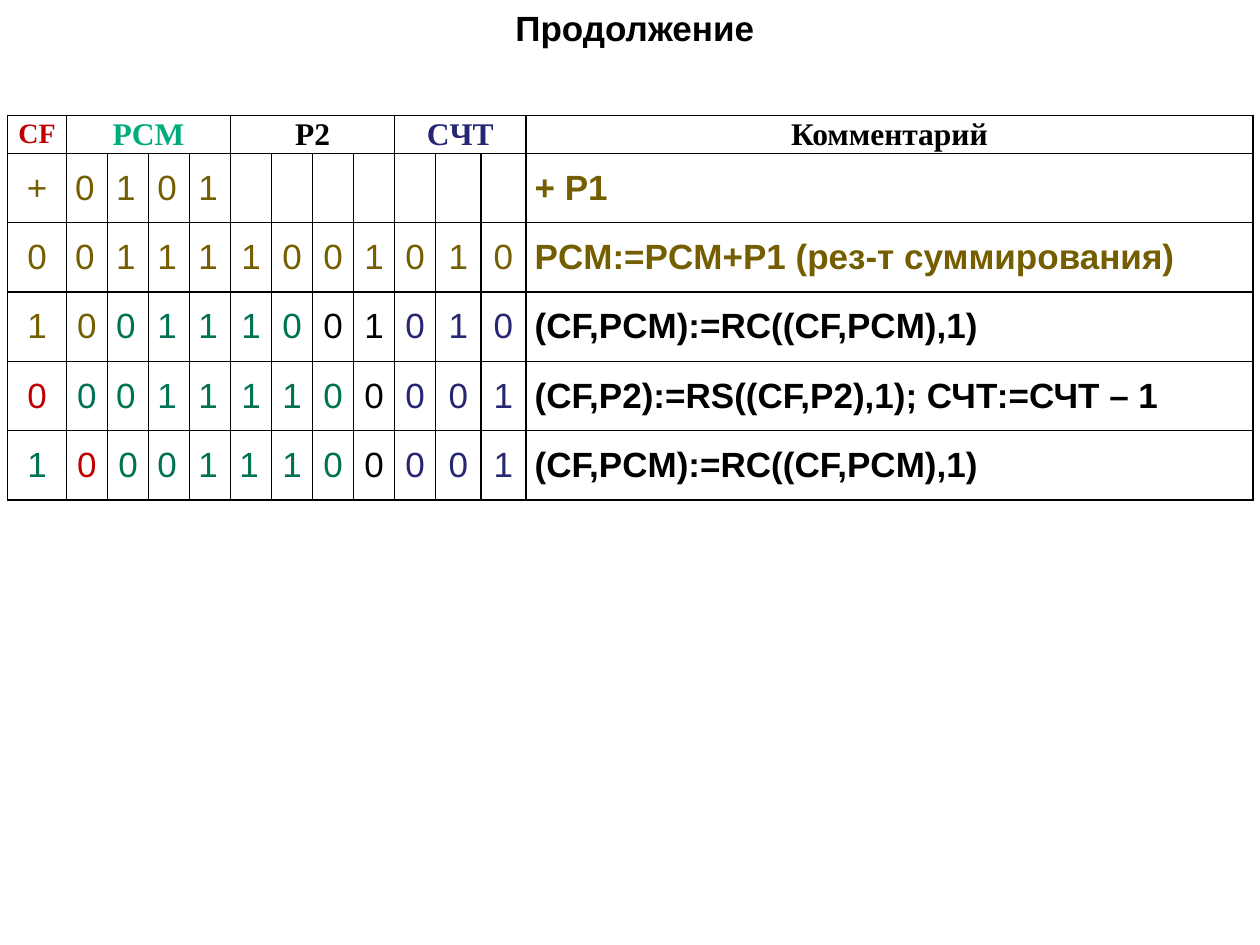
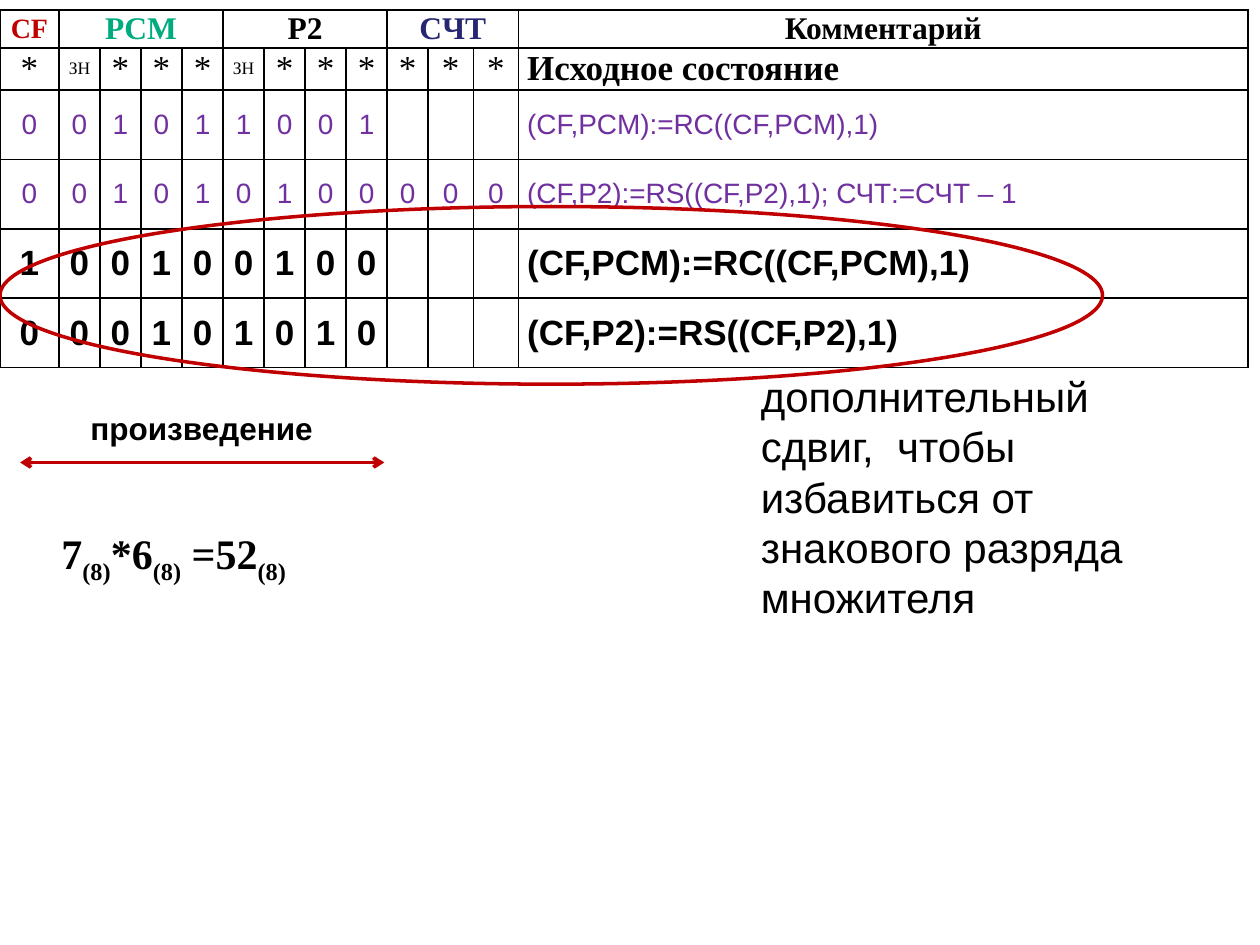
"""Build two slides that trace a binary multiplication register by register."""
import pptx
import pptx.util
import pptx.dml.color
import pptx.enum.text
import pptx.enum.shapes
import pptx.oxml
import pptx.oxml.ns
from lxml import etree

Pt = pptx.util.Pt
RGBColor = pptx.dml.color.RGBColor
ALIGN = pptx.enum.text.PP_ALIGN
MIDDLE = pptx.enum.text.MSO_ANCHOR.MIDDLE
GROW = pptx.enum.text.MSO_AUTO_SIZE.SHAPE_TO_FIT_TEXT
qn = pptx.oxml.ns.qn

BLACK = RGBColor(0x00, 0x00, 0x00)
RED = RGBColor(0xC0, 0x00, 0x00)
MINT = RGBColor(0x00, 0xAB, 0x7E)
GREEN = RGBColor(0x00, 0x72, 0x54)
NAVY = RGBColor(0x26, 0x26, 0x73)
OLIVE = RGBColor(0x74, 0x5E, 0x00)
PURPLE = RGBColor(0x70, 0x30, 0xA0)
HUES = {"k": BLACK, "r": RED, "g": GREEN, "n": NAVY, "o": OLIVE, "p": PURPLE}

SERIF = "Times New Roman"
SANS = "Arial"
PLAIN_20 = {"name": SANS, "size": Pt(20), "bold": False}
BOLD_20 = {"name": SANS, "size": Pt(20), "bold": True}
PLAIN_16 = {"name": SANS, "size": Pt(16), "bold": False}
STAR = {"name": SERIF, "size": Pt(20), "bold": False}
STATE = {"name": SERIF, "size": Pt(20), "bold": True}
HEADING = {"name": SERIF, "size": Pt(18), "bold": True}
FORMULA = {"name": SERIF, "size": Pt(24), "bold": True}
NOTE = {"name": SANS, "size": Pt(24), "bold": False}

HEADINGS = [
    (0, 0, "CF", RED, {**HEADING, "size": Pt(16)}),
    (1, 4, "PCM", MINT, HEADING),
    (5, 8, "P2", BLACK, HEADING),
    (9, 11, "CЧТ", NAVY, HEADING),
    (12, 12, "Комментарий", BLACK, HEADING),
]
ROTATE = "(CF,PCM):=RС((CF,PCM),1)"
SHIFT = "(CF,P2):=RS((CF,P2),1)"
COUNT = "; СЧТ:=СЧТ – 1"

ADDITION_STEPS = [
    ("+ 0 1 0 1", "o" * 13, (1, 2, 3, 4), "+ P1", PLAIN_20, BOLD_20),
    ("0 0 1 1 1 1 0 0 1 0 1 0", "o" * 13, (1, 2, 3, 4),
     "PCM:=PCM+P1 (рез-т суммирования)", PLAIN_20, BOLD_20),
    ("1 0 0 1 1 1 0 0 1 0 1 0", "oogggggkknnnk", (2, 3, 4), ROTATE, PLAIN_20, BOLD_20),
    ("0 0 0 1 1 1 1 0 0 0 0 1", "rgggggggknnnk", (2, 3, 4), SHIFT + COUNT, PLAIN_20, BOLD_20),
    ("1 0 0 0 1 1 1 0 0 0 0 1", "grggggggknnnk", (3, 4, 5), ROTATE, PLAIN_20, BOLD_20),
]
FINAL_STEPS = [
    ("* ЗН * * * ЗН * * * * * *", "k" * 13, (), "Исходное состояние", STAR, STATE),
    ("0 0 1 0 1 1 0 0 1", "p" * 13, (), ROTATE, PLAIN_16, PLAIN_16),
    ("0 0 1 0 1 0 1 0 0 0 0 0", "p" * 13, (), SHIFT + COUNT, PLAIN_16, PLAIN_16),
    ("1 0 0 1 0 0 1 0 0", "k" * 13, (), ROTATE, BOLD_20, BOLD_20),
    ("0 0 0 1 0 1 0 1 0", "k" * 13, (), SHIFT, BOLD_20, BOLD_20),
]


def write(paragraph, text, style, color, align=ALIGN.LEFT):
    run = paragraph.add_run()
    run.text = text
    for attribute, value in style.items():
        setattr(run.font, attribute, value)
    run.font.color.rgb = color
    paragraph.alignment = align
    return run


def add_box(slide, left, top, width, height, wrap=True):
    frame = slide.shapes.add_textbox(Pt(left), Pt(top), Pt(width), Pt(height)).text_frame
    frame.word_wrap = wrap
    frame.auto_size = GROW
    return frame.paragraphs[0]


deck = pptx.Presentation()
deck.slide_width, deck.slide_height = Pt(720), Pt(540)
addition, final = [deck.slides.add_slide(deck.slide_layouts[6]) for _ in range(2)]

title = add_box(addition, 0, 0, 720, 31.5)
write(title, " Продолжение", BOLD_20, BLACK, ALIGN.CENTER)

register_widths = [33.7] + [23.45] * 9 + [25.8] * 2
for slide, steps, left, top, comment_width, heights in [
    (addition, ADDITION_STEPS, 4.3, 66, 415.4, [21.2] + [39.65] * 5),
    (final, FINAL_STEPS, 0, 5.8, 417, [19.8, 22] + [39.65] * 4),
]:
    widths = register_widths + [comment_width]
    trace = slide.shapes.add_table(
        len(heights), len(widths), Pt(left), Pt(top), Pt(sum(widths)), Pt(sum(heights))).table
    trace.first_row = trace.horz_banding = False
    for column, width in zip(trace.columns, widths):
        column.width = Pt(width)
    for row, height in zip(trace.rows, heights):
        row.height = Pt(height)

    for cell in trace.iter_cells():
        cell.vertical_anchor = MIDDLE
        cell.margin_left = cell.margin_right = Pt(5)
        cell.margin_top = cell.margin_bottom = 0
        cell.text_frame.paragraphs[0].space_after = Pt(3)
        cell_format = cell._tc.get_or_add_tcPr()
        for side in ("lnL", "lnR", "lnT", "lnB"):
            border = etree.SubElement(cell_format, qn("a:" + side), w=str(Pt(1)))
            paint = etree.SubElement(border, qn("a:solidFill"))
            etree.SubElement(paint, qn("a:srgbClr"), val=str(BLACK))
        cell.fill.background()

    for first, last, heading, color, style in HEADINGS:
        cell = trace.cell(0, first)
        if last > first:
            cell.merge(trace.cell(0, last))
        write(cell.text_frame.paragraphs[0], heading, style, color, ALIGN.CENTER)

    for row, (marks, hues, left_columns, comment, mark_style, comment_style) in enumerate(steps, 1):
        for column, mark in enumerate(marks.split()):
            style = {**mark_style, "size": Pt(10)} if mark == "ЗН" else mark_style
            align = ALIGN.LEFT if column in left_columns else ALIGN.CENTER
            paragraph = trace.cell(row, column).text_frame.paragraphs[0]
            write(paragraph, mark, style, HUES[hues[column]], align)
        write(trace.cell(row, 12).text_frame.paragraphs[0], comment, comment_style, HUES[hues[12]])

extra_shift = final.shapes.add_shape(
    pptx.enum.shapes.MSO_SHAPE.OVAL, Pt(0), Pt(118), Pt(630), Pt(101.5))
extra_shift.shadow.inherit = False
extra_shift.fill.background()
extra_shift.line.color.rgb = RED
extra_shift.line.width = Pt(2)

explanation = add_box(final, 427.7, 208, 247, 152.6)
write(explanation, "дополнительный сдвиг,  чтобы избавиться от знакового разряда множителя", NOTE, BLACK)

check = add_box(final, 28, 298, 196.6, 36)
for number in ("7", "*6", " =52"):
    write(check, number, FORMULA, BLACK)
    base = write(check, "(8)", FORMULA, BLACK)
    base._r.get_or_add_rPr().set("baseline", "-25000")

product_span = final.shapes.add_connector(
    pptx.enum.shapes.MSO_CONNECTOR.STRAIGHT, Pt(11.5), Pt(264.3), Pt(219.6), Pt(264.3))
product_span.line.color.rgb = RED
product_span.line.width = Pt(2)
span_line = product_span.line._get_or_add_ln()
for end in ("headEnd", "tailEnd"):
    etree.SubElement(span_line, qn("a:" + end), type="arrow")
etree.SubElement(product_span._element.spPr, qn("a:effectLst"))

product = add_box(final, 44.6, 230.4, 143.3, 28.8, wrap=False)
write(product, "произведение", {**BOLD_20, "size": Pt(18)}, BLACK)

deck.save("out.pptx")
